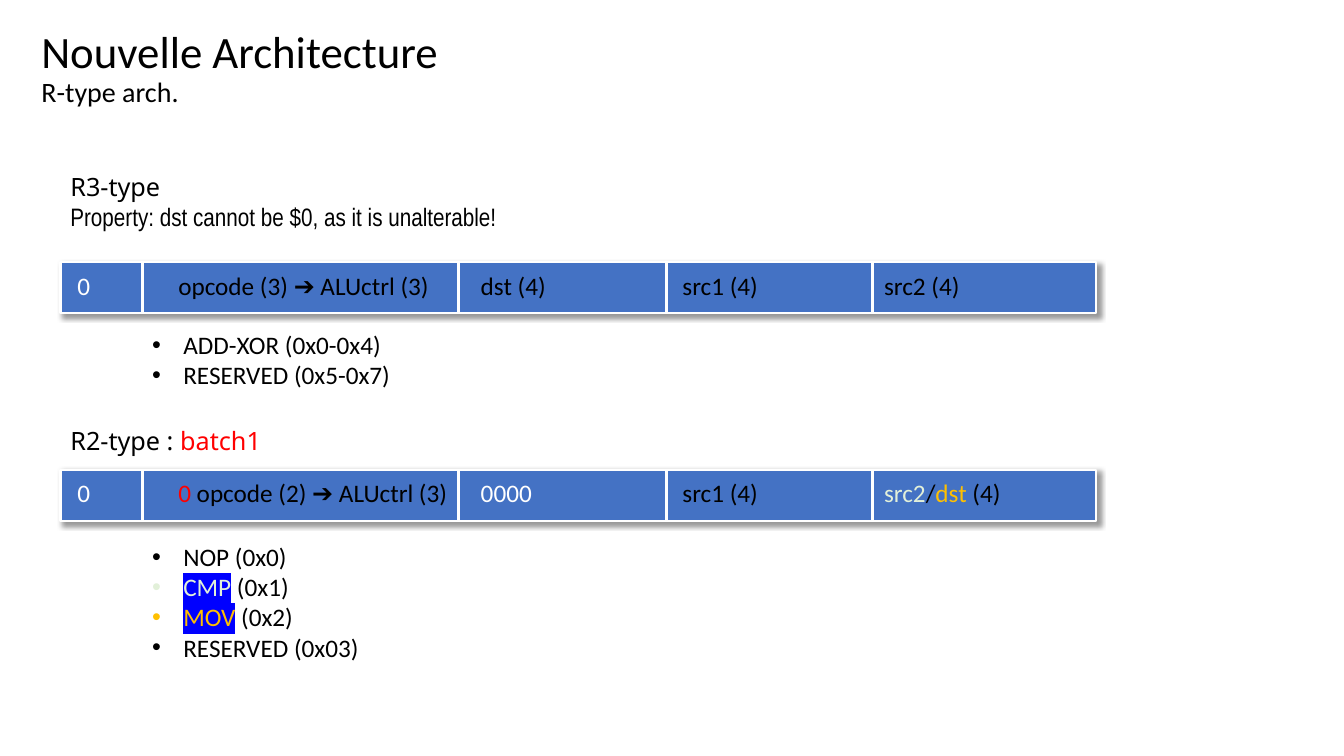
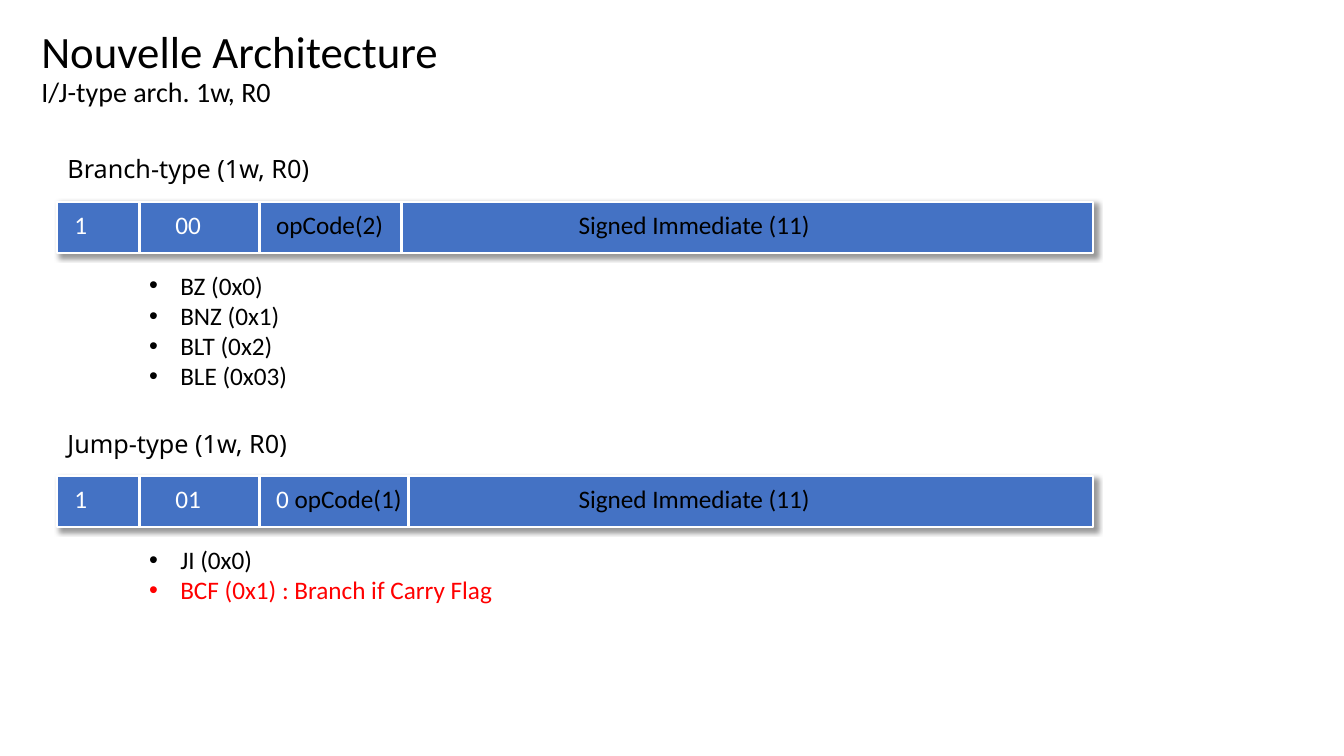
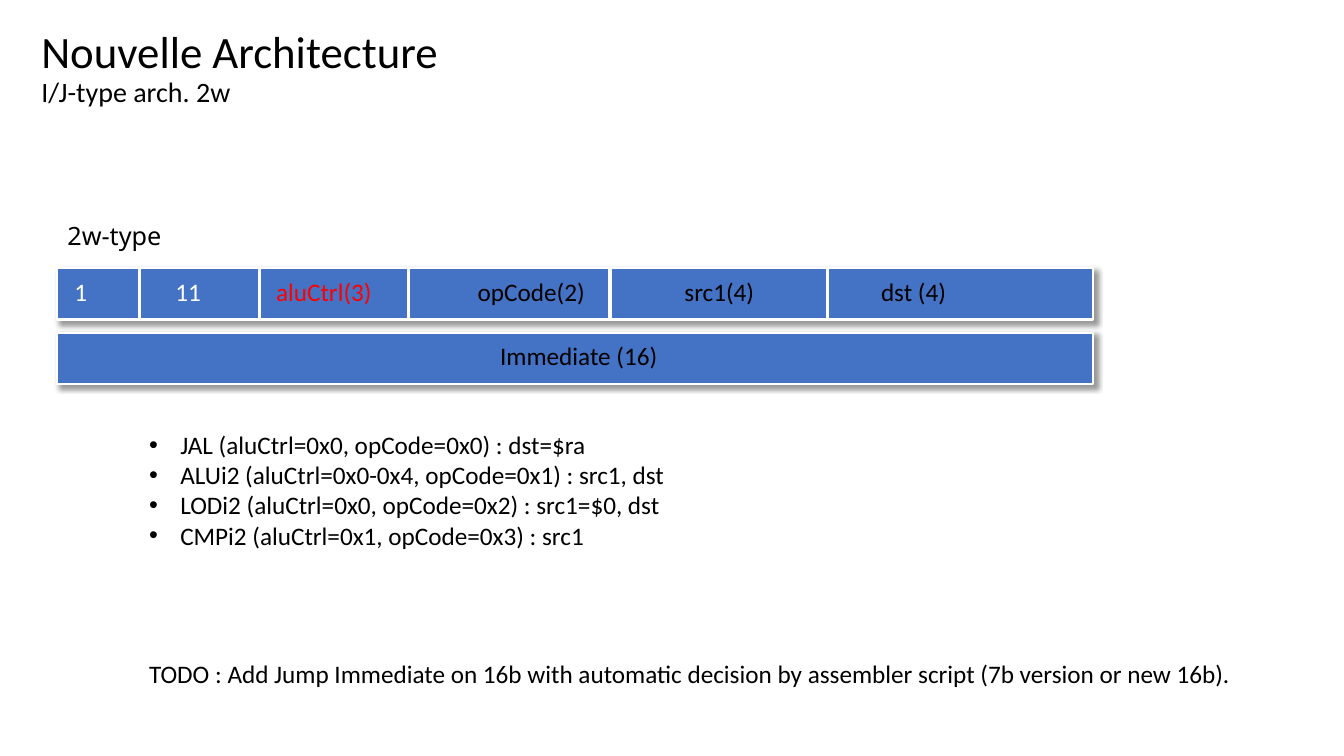
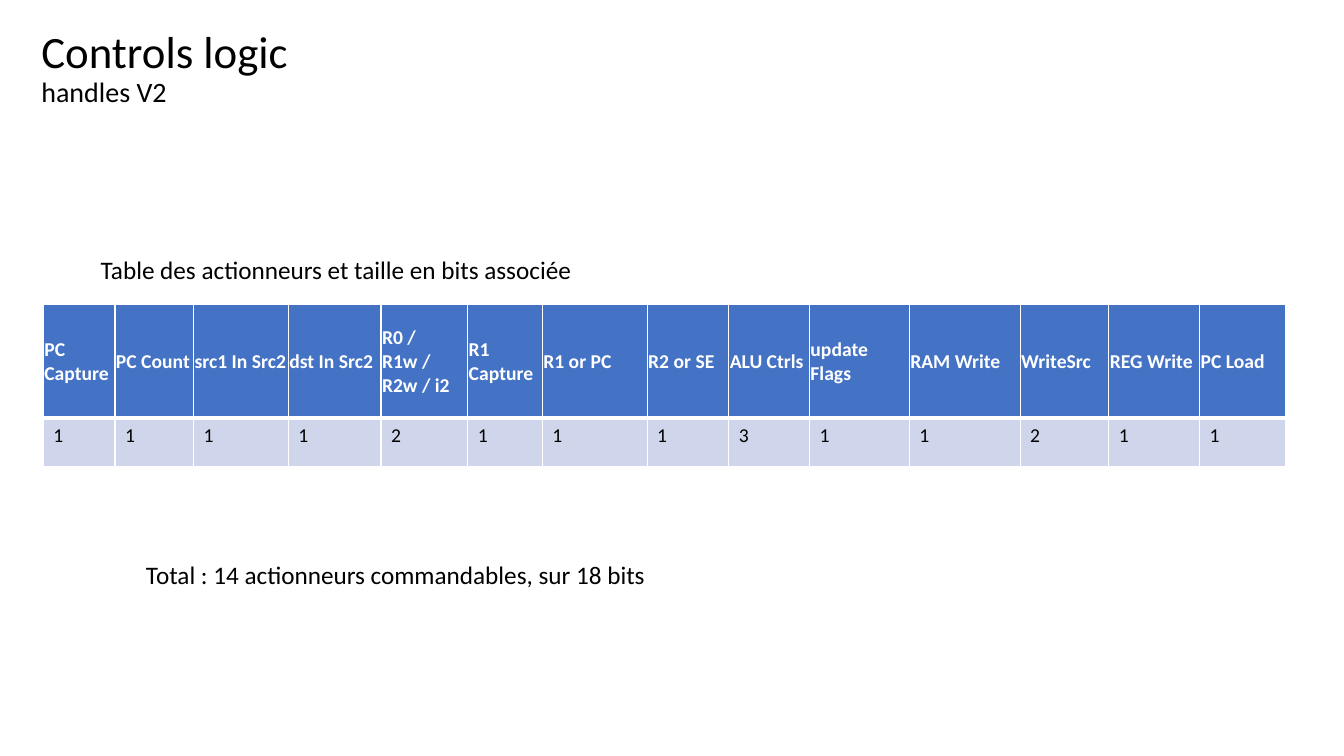
from lxml import etree
from pptx import Presentation
from pptx.dml.color import RGBColor
from pptx.enum.shapes import MSO_CONNECTOR, MSO_SHAPE
from pptx.enum.text import MSO_ANCHOR, MSO_AUTO_SIZE, PP_ALIGN
from pptx.oxml.ns import qn
from pptx.util import Inches, Pt

RECTANGLE = MSO_SHAPE.RECTANGLE
STRAIGHT = MSO_CONNECTOR.STRAIGHT
MIDDLE, TOP = MSO_ANCHOR.MIDDLE, MSO_ANCHOR.TOP
LEFT, CENTER = PP_ALIGN.LEFT, PP_ALIGN.CENTER
NO_FIT = MSO_AUTO_SIZE.NONE

COLORS = {
    "ink": "000000", "white": "FFFFFF", "bar": "4472C4", "cell": "CFD5EA",
    "red": "FF0000", "green": "E2F0D9", "gold": "FFC000", "marker": "0000FF",
}
WHITE, RED = {"color": "white"}, {"color": "red"}
GREEN, GOLD = {"color": "green"}, {"color": "gold"}
HEADING = {"font": "Noto Sans"}
BAR_W, BAR_H = 10.27, 0.51


def rgb(name):
    return RGBColor.from_string(COLORS[name])


def sub(parent, tag, **attrs):
    return etree.SubElement(parent, qn(tag), {k: str(v) for k, v in attrs.items()})


def add_text(p, text, size=18, font="Calibri", color="ink", bold=False, mark=None):
    r = p.add_run()
    r.text = text
    r.font.size, r.font.name, r.font.bold = Pt(size), font, bold
    r.font.color.rgb = rgb(color)
    if mark:
        highlight = etree.Element(qn("a:highlight"))
        sub(highlight, "a:srgbClr", val=COLORS[mark])
        r.font._element.find(qn("a:solidFill")).addnext(highlight)


def add_parts(p, parts):
    for part in parts:
        text, style = (part, {}) if isinstance(part, str) else part
        add_text(p, text, **style)


class Deck:
    """Holds the presentation, its style and the current slide."""

    def __init__(self):
        self.prs = Presentation()
        self.prs.slide_width, self.prs.slide_height = Inches(13.33), Inches(7.5)

    def slide(self, title, subtitle):
        self.s = self.prs.slides.add_slide(self.prs.slide_layouts[5])
        sp = self.s.shapes.title
        sp.left, sp.top = Inches(0.31), Inches(0.11)
        sp.width, sp.height = Inches(5.21), Inches(1.16)
        tf = sp.text_frame
        tf.vertical_anchor, tf.auto_size = MIDDLE, NO_FIT
        p = tf.paragraphs[0]
        p.alignment, p.line_spacing = LEFT, 0.9
        add_text(p, title, size=32)
        p.add_line_break()
        sub(p._p[-1], "a:rPr", sz=3200)
        add_text(p, subtitle, size=20)

    def text(self, x, y, w, h, paragraphs, bullets=False, shapes=None):
        shapes = shapes or self.s.shapes
        sp = shapes.add_textbox(Inches(x), Inches(y), Inches(w), Inches(h))
        tf = sp.text_frame
        tf.word_wrap = True
        for i, parts in enumerate(paragraphs):
            p = tf.add_paragraph() if i else tf.paragraphs[0]
            add_parts(p, parts)
            if bullets:
                pPr = p._p.get_or_add_pPr()
                pPr.set("marL", str(Inches(0.31)))
                pPr.set("indent", str(-Inches(0.31)))
                sub(pPr, "a:buFont", typeface="Arial")
                sub(pPr, "a:buChar", char="•")
        return tf

    def bullets(self, x, y, w, paragraphs):
        self.text(x, y, w, 0.1 + 0.3 * len(paragraphs), paragraphs, bullets=True)

    def bar(self, x, y, fields, dividers=(), align=LEFT):
        shapes = self.s.shapes.add_group_shape().shapes
        sp = shapes.add_shape(RECTANGLE, Inches(x), Inches(y), Inches(BAR_W), Inches(BAR_H))
        sp.fill.solid()
        sp.fill.fore_color.rgb = rgb("bar")
        sp.line.color.rgb, sp.line.width = rgb("white"), Pt(1.5)
        sp.shadow.inherit = False
        shadow = sub(sp._element.spPr.find(qn("a:effectLst")), "a:outerShdw",
                     blurRad=Pt(4), dist=Pt(3), dir=45 * 60000, algn="tl", rotWithShape=0)
        sub(sub(shadow, "a:srgbClr", val=COLORS["ink"]), "a:alpha", val=40000)

        tf = self.text(x + 0.07, y + 0.03, 10.2, 0.4, [fields[0][1]], shapes=shapes)
        p = tf.paragraphs[0]
        p.alignment = align
        if fields[1:]:
            tabs = sub(p._p.get_or_add_pPr(), "a:tabLst")
            for stop, parts in fields[1:]:
                sub(tabs, "a:tab", pos=Inches(stop), algn="l")
                add_parts(p, ["\t", *parts])
        for at in dividers:
            self.divider(shapes, at, y)

    def divider(self, shapes, x, y):
        line = shapes.add_connector(STRAIGHT, Inches(x), Inches(y), Inches(x), Inches(y + BAR_H))
        line.line.color.rgb, line.line.width = rgb("white"), Pt(2.25)
        sub(line._element.spPr, "a:effectLst")

    def table(self, x, y, widths, heights, rows):
        frame = self.s.shapes.add_table(len(rows), len(widths), Inches(x), Inches(y),
                                        Inches(sum(widths)), Inches(sum(heights)))
        table = frame.table
        for column, w in zip(table.columns, widths):
            column.width = Inches(w)
        for i, (values, h) in enumerate(zip(rows, heights)):
            table.rows[i].height = Inches(h)
            for j, value in enumerate(values):
                self.cell(table.cell(i, j), value, header=i == 0)

    def cell(self, cell, value, header):
        borders = {"L": 1, "R": 1, "T": 1 if header else 3, "B": 3 if header else 1}
        cell.vertical_anchor = MIDDLE if header else TOP
        if header:
            cell.margin_left = cell.margin_top = cell.margin_right = Inches(0.01)
            cell.margin_bottom = 0
        for side, width in borders.items():
            line = sub(cell._tc.get_or_add_tcPr(), f"a:ln{side}", w=Pt(width))
            sub(sub(line, "a:solidFill"), "a:srgbClr", val=COLORS["white"])
        cell.fill.solid()
        cell.fill.fore_color.rgb = rgb("bar" if header else "cell")
        add_text(cell.text_frame.paragraphs[0], value, size=14, bold=header,
                 color="white" if header else "ink")


deck = Deck()

deck.slide("Nouvelle Architecture", "R-type arch.")
r_dividers = [1.41, 4.55, 6.61, 8.65]
deck.text(0.6, 1.65, 6.07, 0.71, [
    [("R3-type", HEADING)],
    [("Property: dst cannot be $0, as it is unalterable!", {"font": "Arial Narrow"})],
])
deck.bar(0.6, 2.6, [
    (0, [("0", WHITE)]), (1, ["opcode (3) ➔ ALUctrl (3)"]), (4, ["dst (4)"]),
    (6, ["src1 (4)"]), (8, ["src2 (4)"]),
], r_dividers)
deck.bullets(1.41, 3.22, 2.7, [["ADD-XOR (0x0-0x4)"], ["RESERVED (0x5-0x7)"]])
deck.text(0.6, 4.17, 3.9, 0.4, [[("R2-type : ", HEADING), ("batch1", {**HEADING, **RED})]])
deck.bar(0.6, 4.66, [
    (0, [("0", WHITE)]), (1, [("0", RED), " opcode (2) ➔ ALUctrl (3)"]),
    (4, [("0000", WHITE)]), (6, ["src1 (4)"]),
    (8, [("src2", GREEN), "/", ("dst", GOLD), " (4)"]),
], r_dividers)
deck.bullets(1.41, 5.32, 2.47, [
    ["NOP (0x0)"],
    [("CMP", {**GREEN, "mark": "marker"}), " (0x1)"],
    [("MOV", {**GOLD, "mark": "marker"}), " (0x2)"],
    ["RESERVED (0x03)"],
])

deck.slide("Nouvelle Architecture", "I/J-type arch. 1w, R0")
deck.text(0.57, 1.47, 7.99, 0.4, [[("Branch-type (1w, R0)", HEADING)]])
deck.bar(0.57, 2, [
    (0, [("1", WHITE)]), (1, [("00", WHITE)]), (2, ["opCode(2)"]),
    (5, ["Signed Immediate (11)"]),
], [1.38, 2.57, 3.98])
deck.bullets(1.38, 2.63, 2.47, [["BZ (0x0)"], ["BNZ (0x1)"], ["BLT (0x2)"], ["BLE (0x03)"]])
deck.text(0.57, 4.2, 7.99, 0.4, [[("Jump-type (1w, R0)", HEADING)]])
deck.bar(0.57, 4.72, [
    (0, [("1", WHITE)]), (1, [("01", WHITE)]), (2, [("0 ", WHITE), "opCode(1)"]),
    (5, ["Signed Immediate (11)"]),
], [1.38, 2.57, 4.05])
deck.bullets(1.38, 5.35, 5.42, [["JI (0x0)"], [("BCF (0x1) : Branch if Carry Flag", RED)]])

deck.slide("Nouvelle Architecture", "I/J-type arch. 2w")
deck.text(0.57, 2.14, 7.99, 0.4, [[("2w-type", HEADING)]])
deck.bar(0.57, 2.66, [
    (0, [("1", WHITE)]), (1, [("11", WHITE)]), (2, [("aluCtrl(3)", RED)]),
    (4, ["opCode(2)"]), (6.05, ["src1(4)"]), (8, ["dst (4)"]),
], [1.38, 2.57, 4.05, 6.05, 8.21])
deck.bar(0.57, 3.3, [(0, ["Immediate (16)"])], align=CENTER)
deck.bullets(1.38, 4.21, 6.43, [
    ["JAL (aluCtrl=0x0, opCode=0x0) : dst=$ra"],
    ["ALUi2 (aluCtrl=0x0-0x4, opCode=0x1) : src1, dst"],
    ["LODi2 (aluCtrl=0x0, opCode=0x2) : src1=$0, dst"],
    ["CMPi2 (aluCtrl=0x1, opCode=0x3) : src1"],
])
deck.text(1.38, 6.48, 11.1, 0.4, [[
    "TODO : Add Jump Immediate on 16b with automatic decision by assembler script "
    "(7b version or new 16b)."
]])

deck.slide("Controls logic", "handles V2")
deck.text(0.9, 2.47, 9.31, 0.4, [["Table des actionneurs et taille en bits associée"]])
actuators = [
    ("PC Capture", "1", 0.71), ("PC Count", "1", 0.78), ("src1 In Src2", "1", 0.94),
    ("dst In Src2", "1", 0.92), ("R0 / R1w / R2w / i2", "2", 0.86), ("R1 Capture", "1", 0.74),
    ("R1 or PC", "1", 1.04), ("R2 or SE", "1", 0.81), ("ALU Ctrls", "3", 0.8),
    ("update Flags", "1", 0.99), ("RAM Write", "1", 1.1), ("WriteSrc", "2", 0.88),
    ("REG Write", "1", 0.9), ("PC Load", "1", 0.85),
]
names, bits, widths = zip(*actuators)
deck.table(0.43, 3.02, widths, [1.13, 0.48], [names, bits])
deck.text(1.35, 5.5, 5.3, 0.4, [["Total : 14 actionneurs commandables, sur 18 bits"]])

deck.prs.save("out.pptx")
